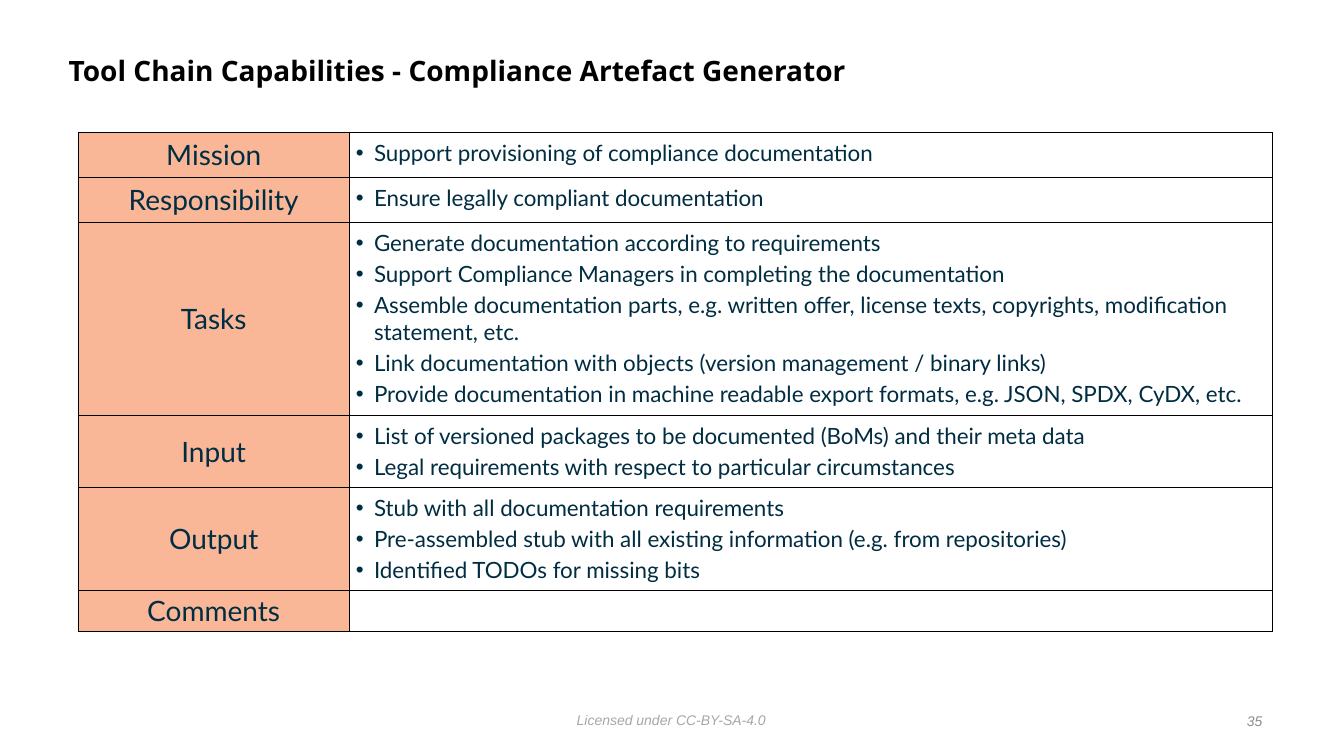
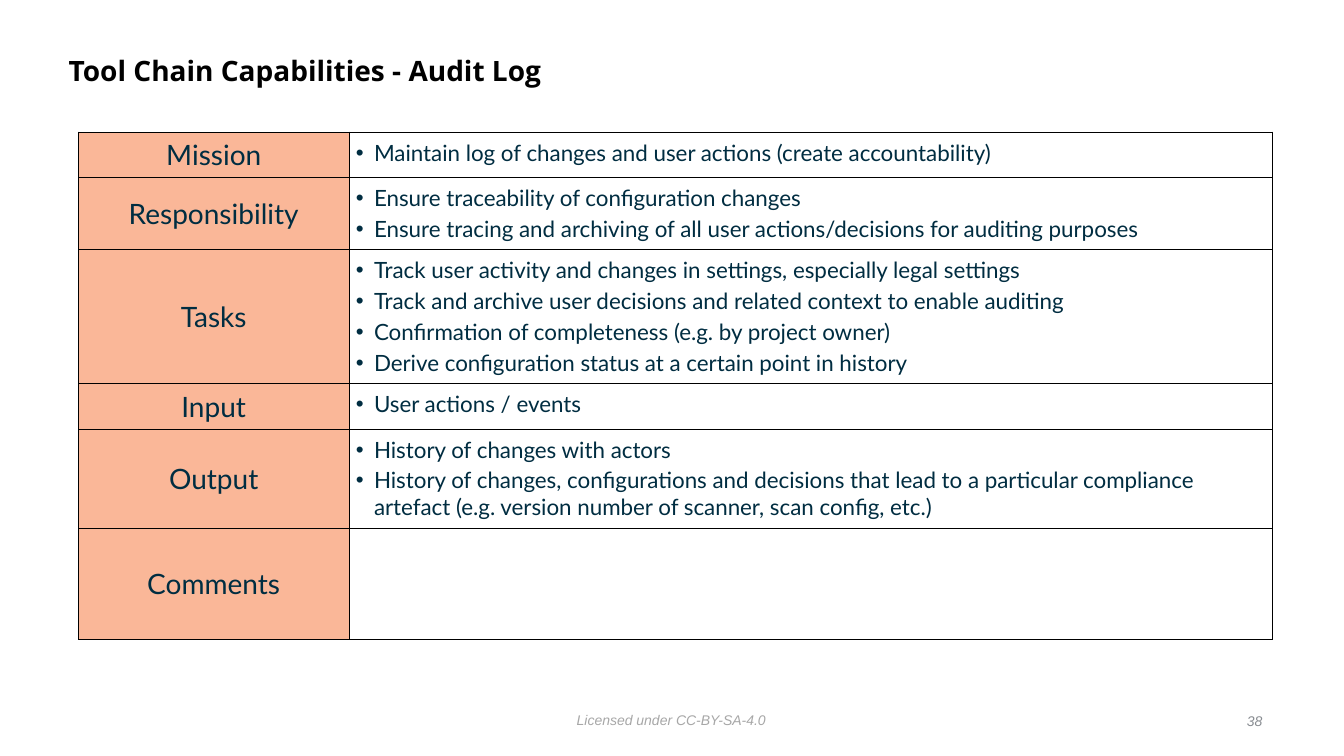
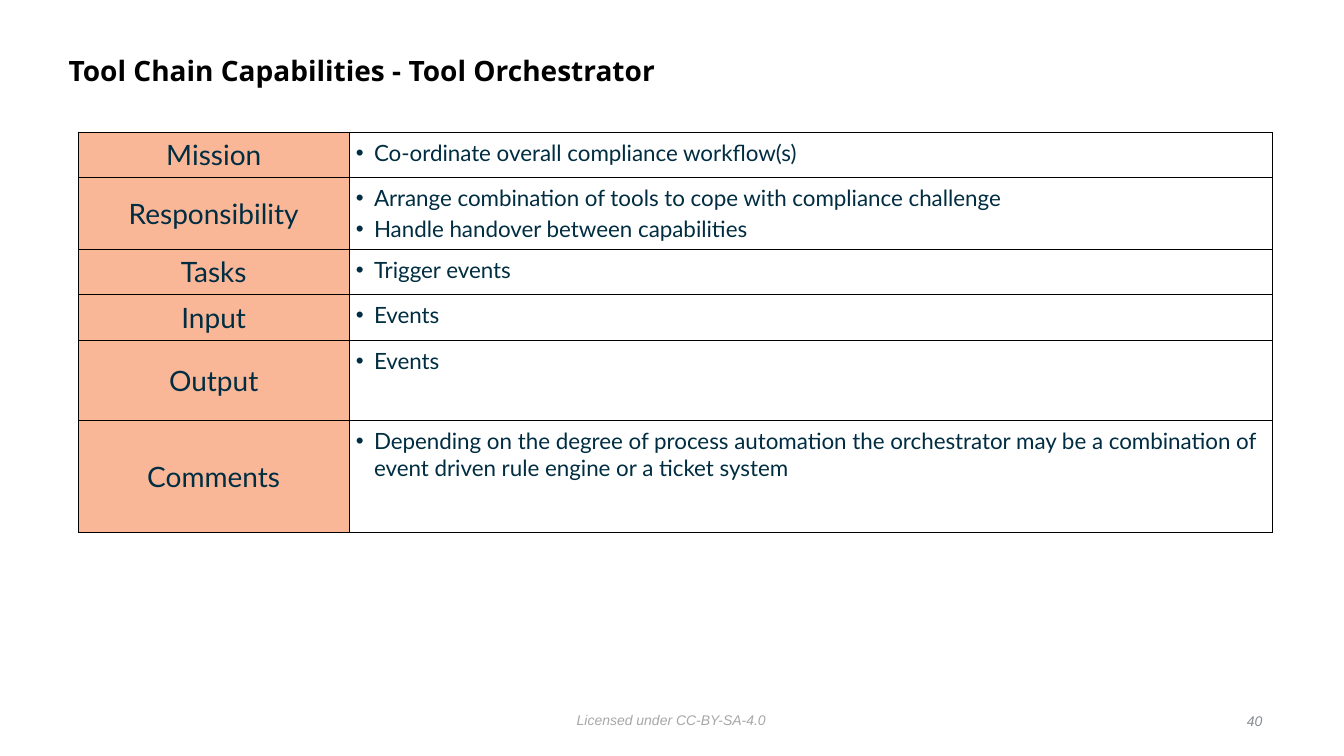
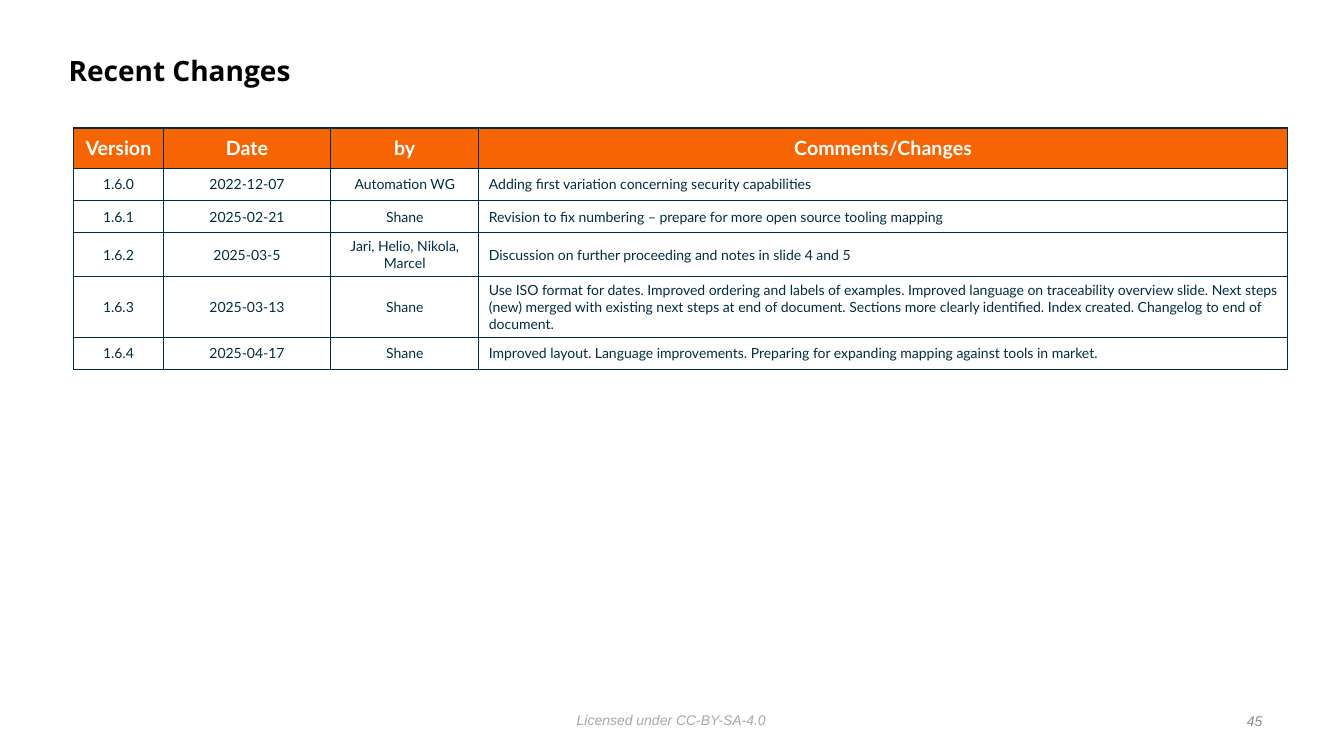
"""Build four slides on tool chain capabilities and recent changes."""
import dataclasses
import typing

import pptx
import pptx.dml.color
import pptx.enum.text
import pptx.oxml
import pptx.oxml.ns
import pptx.presentation
import pptx.shapes.autoshape
import pptx.slide
import pptx.table
import pptx.text.text
import pptx.util

Inches = pptx.util.Inches
Align = pptx.enum.text.PP_ALIGN
Anchor = pptx.enum.text.MSO_ANCHOR


@dataclasses.dataclass(frozen=True)
class Style:
    """Describe the look of a run of text."""
    size: float
    font: str
    color: str
    bold: bool = False
    italic: bool = False


@dataclasses.dataclass(frozen=True)
class Theme:
    """Hold the colours and text styles of the deck."""
    label_fill: str = "FAB798"
    header_fill: str = "F76503"
    black: str = "000000"
    navy: str = "002D41"
    title: Style = Style(20, "Open Sans", "000000", bold=True)
    label: Style = Style(20, "Lato", "002D41")
    bullet: Style = Style(16, "Lato", "002D41")
    header: Style = Style(14, "Lato", "FFFFFF", bold=True)
    entry: Style = Style(10, "Lato", "002D41")
    license: Style = Style(10, "Arial", "A7A7A7", italic=True)
    number: Style = Style(10, "Arial", "888C91", italic=True)


@dataclasses.dataclass(frozen=True)
class Topic:
    """Describe one row of a capability table."""
    label: str
    height: float
    bullets: tuple[str, ...] = ()


@dataclasses.dataclass(frozen=True)
class Capability:
    """Describe one capability slide."""
    name: str
    number: int
    topics: tuple[Topic, ...]


@dataclasses.dataclass(frozen=True)
class Change:
    """Describe one row of the change log."""
    version: str
    date: str
    author: str
    comment: str
    height: float = 0.32


THEME = Theme()

CAPABILITIES = (
    Capability("Compliance Artefact Generator", 35, (
        Topic("Mission", 0.45, ("Support provisioning of compliance documentation",)),
        Topic("Responsibility", 0.45, ("Ensure legally compliant documentation",)),
        Topic("Tasks", 1.91, (
            "Generate documentation according to requirements",
            "Support Compliance Managers in completing the documentation",
            "Assemble documentation parts, e.g. written offer, license texts, copyrights, "
            "modification statement, etc.",
            "Link documentation with objects (version management / binary links)",
            "Provide documentation in machine readable export formats, e.g. JSON, SPDX, CyDX, etc.",
        )),
        Topic("Input", 0.7, (
            "List of versioned packages to be documented (BoMs) and their meta data",
            "Legal requirements with respect to particular circumstances",
        )),
        Topic("Output", 1.02, (
            "Stub with all documentation requirements",
            "Pre-assembled stub with all existing information (e.g. from repositories)",
            "Identified TODOs for missing bits",
        )),
        Topic("Comments", 0.41),
    )),
    Capability("Audit Log", 38, (
        Topic("Mission", 0.45, ("Maintain log of changes and user actions (create accountability)",)),
        Topic("Responsibility", 0.7, (
            "Ensure traceability of configuration changes",
            "Ensure tracing and archiving of all user actions/decisions for auditing purposes",
        )),
        Topic("Tasks", 1.33, (
            "Track user activity and changes in settings, especially legal settings",
            "Track and archive user decisions and related context to enable auditing",
            "Confirmation of completeness (e.g. by project owner)",
            "Derive configuration status at a certain point in history",
        )),
        Topic("Input", 0.45, ("User actions / events",)),
        Topic("Output", 0.97, (
            "History of changes with actors",
            "History of changes, configurations and decisions that lead to a particular "
            "compliance artefact (e.g. version number of scanner, scan config, etc.)",
        )),
        Topic("Comments", 1.11),
    )),
    Capability("Tool Orchestrator", 40, (
        Topic("Mission", 0.45, ("Co-ordinate overall compliance workflow(s)",)),
        Topic("Responsibility", 0.7, (
            "Arrange combination of tools to cope with compliance challenge",
            "Handle handover between capabilities",
        )),
        Topic("Tasks", 0.45, ("Trigger events",)),
        Topic("Input", 0.45, ("Events",)),
        Topic("Output", 0.8, ("Events",)),
        Topic("Comments", 1.11, (
            "Depending on the degree of process automation the orchestrator may be a "
            "combination of event driven rule engine or a ticket system",
        )),
    )),
)

CHANGES = (
    Change("1.6.0", "2022-12-07", "Automation WG",
           "Adding first variation concerning security capabilities"),
    Change("1.6.1", "2025-02-21", "Shane",
           "Revision to fix numbering – prepare for more open source tooling mapping"),
    Change("1.6.2", "2025-03-5", "Jari, Helio, Nikola, Marcel",
           "Discussion on further proceeding and notes in slide 4 and 5", 0.43),
    Change("1.6.3", "2025-03-13", "Shane",
           "Use ISO format for dates. Improved ordering and labels of examples. Improved language "
           "on traceability overview slide. Next steps (new) merged with existing next steps at "
           "end of document. Sections more clearly identified. Index created. Changelog to end "
           "of document.", 0.6),
    Change("1.6.4", "2025-04-17", "Shane",
           "Improved layout. Language improvements. Preparing for expanding mapping against "
           "tools in market."),
)


def rgb(color: str) -> pptx.dml.color.RGBColor:
    """Turn a hex string into a colour."""
    return pptx.dml.color.RGBColor.from_string(color)


def add_span(para: pptx.text.text._Paragraph, text: str, style: Style) -> None:
    """Add a styled run to a paragraph."""
    span = para.add_run()
    span.text = text
    span.font.size = pptx.util.Pt(style.size)
    span.font.name = style.font
    span.font.color.rgb = rgb(style.color)
    span.font.bold = style.bold
    span.font.italic = style.italic


def set_margins(target: typing.Any, margin: float) -> None:
    """Set equal margins on a text frame or a table cell."""
    for side in ("left", "right", "top", "bottom"):
        setattr(target, f"margin_{side}", Inches(margin))


def add_label(page: pptx.slide.Slide, text: str, style: Style, left: float, top: float,
              width: float, align: Align, anchor: Anchor) -> None:
    """Add a small unwrapped line of text at the foot of a page."""
    box = page.shapes.add_textbox(Inches(left), Inches(top), Inches(width), Inches(0.25))
    frame = box.text_frame
    frame.word_wrap = False
    frame.vertical_anchor = anchor
    set_margins(frame, 0.05)
    frame.paragraphs[0].alignment = align
    add_span(frame.paragraphs[0], text, style)


def add_page(deck: pptx.presentation.Presentation, title: str, number: int) -> pptx.slide.Slide:
    """Add a page with its title, license line and page number."""
    page = deck.slides.add_slide(deck.slide_layouts[5])
    box = page.shapes.title
    box.left, box.top, box.width, box.height = map(Inches, (0.63, 0.39, 10.75, 0.65))
    frame = box.text_frame
    frame.word_wrap = True
    frame.auto_size = pptx.enum.text.MSO_AUTO_SIZE.NONE
    frame.vertical_anchor = Anchor.MIDDLE
    set_margins(frame, 0.05)
    para = frame.paragraphs[0]
    para.alignment = Align.LEFT
    para.line_spacing = 0.9
    add_span(para, title, THEME.title)
    add_label(page, "Licensed under CC-BY-SA-4.0", THEME.license, 5.67, 7.01, 1.99,
              Align.LEFT, Anchor.TOP)
    add_label(page, str(number), THEME.number, 12.3, 7.03, 0.27, Align.RIGHT, Anchor.MIDDLE)
    return page


def add_grid(page: pptx.slide.Slide, left: float, top: float, widths: typing.Sequence[float],
             heights: typing.Sequence[float], line: str, weight: float) -> pptx.table.Table:
    """Add an unfilled table with ruled cells."""
    table = page.shapes.add_table(len(heights), len(widths), Inches(left), Inches(top),
                                  Inches(sum(widths)), Inches(sum(heights))).table
    table.first_row = table.horz_banding = False
    for column, width in zip(table.columns, widths):
        column.width = Inches(width)
    for row, height in zip(table.rows, heights):
        row.height = Inches(height)
    for cell in table.iter_cells():
        properties = cell._tc.get_or_add_tcPr()
        for side in ("lnL", "lnR", "lnT", "lnB"):
            properties.append(pptx.oxml.parse_xml(
                f'<a:{side} {pptx.oxml.ns.nsdecls("a")} w="{pptx.util.Pt(weight)}">'
                f'<a:solidFill><a:srgbClr val="{line}"/></a:solidFill></a:{side}>'))
        cell.fill.background()
    return table


def fill_cell(cell: pptx.table._Cell, text: str, style: Style, align: Align = Align.CENTER,
              fill: str | None = None) -> None:
    """Write one vertically centred line of text in a cell."""
    cell.vertical_anchor = Anchor.MIDDLE
    if fill:
        cell.fill.solid()
        cell.fill.fore_color.rgb = rgb(fill)
    para = cell.text_frame.paragraphs[0]
    para.alignment = align
    add_span(para, text, style)


def fill_bullets(cell: pptx.table._Cell, bullets: typing.Sequence[str]) -> None:
    """Write a bulleted list in a cell."""
    set_margins(cell, 0.07)
    frame = cell.text_frame
    for index, text in enumerate(bullets):
        para = frame.add_paragraph() if index else frame.paragraphs[0]
        para.space_before = pptx.util.Pt(3 if index else 0)
        properties = para._p.get_or_add_pPr()
        properties.set("marL", str(Inches(0.18)))
        properties.set("indent", str(-Inches(0.18)))
        for element in ('buFont {} typeface="Arial"', 'buChar {} char="•"'):
            properties.append(pptx.oxml.parse_xml(
                f'<a:{element.format(pptx.oxml.ns.nsdecls("a"))}/>'))
        add_span(para, text, THEME.bullet)


def add_capability(deck: pptx.presentation.Presentation, capability: Capability) -> None:
    """Add a page that describes one capability."""
    page = add_page(deck, f"Tool Chain Capabilities - {capability.name}", capability.number)
    heights = [topic.height for topic in capability.topics]
    table = add_grid(page, 0.78, 1.31, (2.68, 9.16), heights, THEME.black, 0.5)
    for index, topic in enumerate(capability.topics):
        label = table.cell(index, 0)
        set_margins(label, 0)
        fill_cell(label, topic.label, THEME.label, fill=THEME.label_fill)
        if topic.bullets:
            fill_bullets(table.cell(index, 1), topic.bullets)


def add_changes(deck: pptx.presentation.Presentation) -> None:
    """Add the page with the change log."""
    page = add_page(deck, "Recent Changes", 45)
    heights = [0.4, *(change.height for change in CHANGES)]
    table = add_grid(page, 0.73, 1.27, (0.89, 1.66, 1.47, 8.02), heights, THEME.navy, 1)
    for column, heading in enumerate(("Version", "Date", "by", "Comments/Changes")):
        fill_cell(table.cell(0, column), heading, THEME.header, fill=THEME.header_fill)
    for row, change in enumerate(CHANGES, start=1):
        for column, text in enumerate((change.version, change.date, change.author)):
            fill_cell(table.cell(row, column), text, THEME.entry)
        fill_cell(table.cell(row, 3), change.comment, THEME.entry, Align.LEFT)


def main() -> None:
    """Build and save the deck."""
    deck = pptx.Presentation()
    deck.slide_width, deck.slide_height = Inches(13.33), Inches(7.5)
    for capability in CAPABILITIES:
        add_capability(deck, capability)
    add_changes(deck)
    deck.save("out.pptx")


if __name__ == "__main__":
    main()
